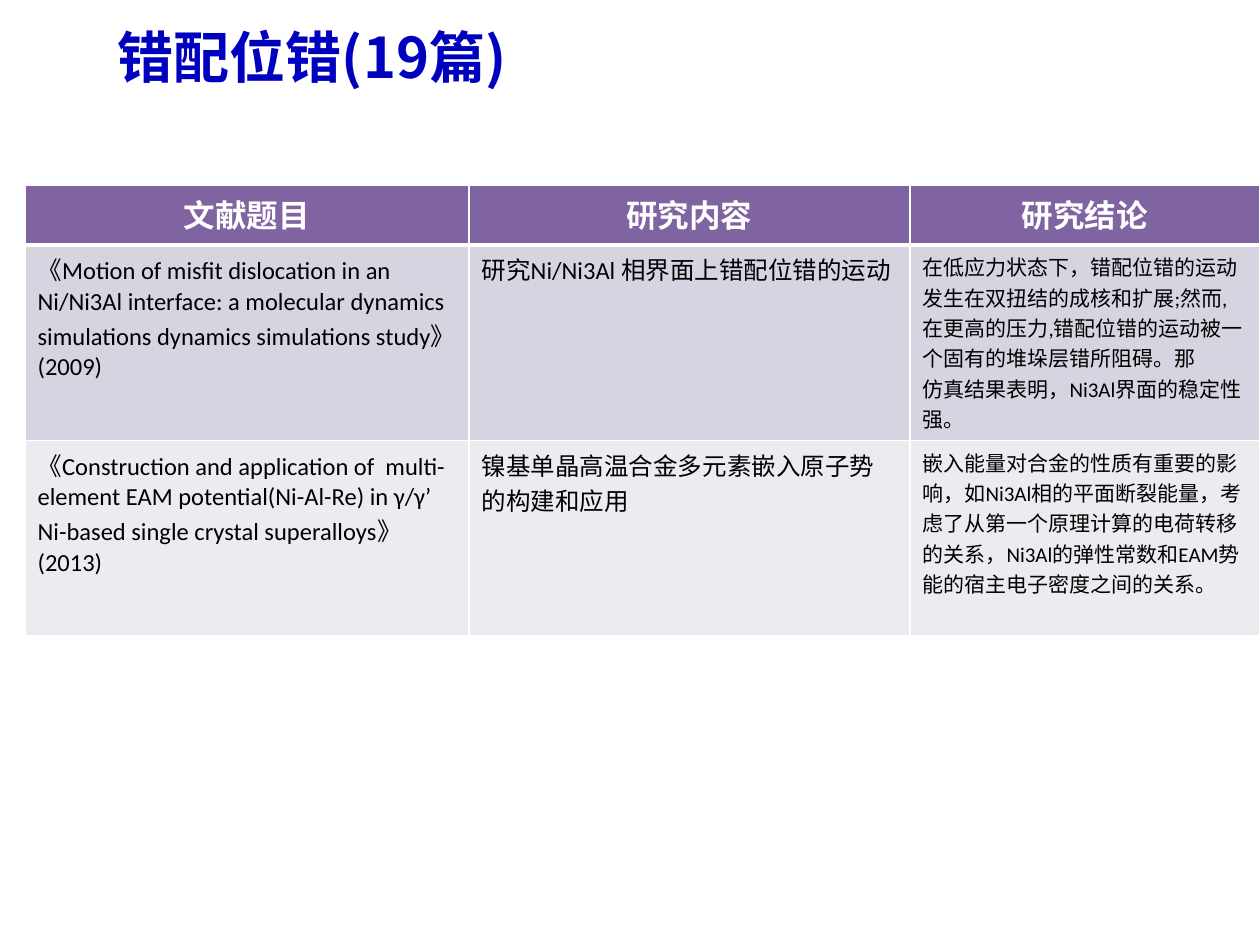
from dataclasses import dataclass

from lxml import etree
from pptx import Presentation
from pptx.dml.color import RGBColor
from pptx.enum.text import MSO_ANCHOR, PP_ALIGN
from pptx.oxml.ns import qn
from pptx.util import Emu, Pt

PX = 914400 // 126
LEFT, CENTER = PP_ALIGN.LEFT, PP_ALIGN.CENTER
MIDDLE = MSO_ANCHOR.MIDDLE
TITLE_ONLY = 5


@dataclass(frozen=True)
class Theme:
    title: str = "0000BF"
    header: str = "8064A2"
    bands: tuple = ("D8D3E0", "EDEAF0")
    white: str = "FFFFFF"
    black: str = "000000"
    latin: str = "Calibri"
    cjk: str = "Noto Sans CJK SC"
    title_size: int = 32
    header_size: int = 18
    column_sizes: tuple = (14, 14, 12)
    rule: int = 1
    header_rule: int = 3


class Deck:
    def __init__(self, theme, width, height):
        self.theme = theme
        self.prs = Presentation()
        self.prs.slide_width, self.prs.slide_height = Emu(width * PX), Emu(height * PX)
        self.s = self.prs.slides.add_slide(self.prs.slide_layouts[TITLE_ONLY])

    def style(self, tf, size, color, font, bold=False, align=LEFT):
        for p in tf.paragraphs:
            p.alignment = align
            for r in p.runs:
                r.font.size, r.font.bold, r.font.name = Pt(size), bold, font
                r.font.color.rgb = RGBColor.from_string(color)
                ea = etree.SubElement(r.font._element, qn("a:ea"))
                ea.set("typeface", self.theme.cjk)

    def title(self, text, x, y, w, h):
        t = self.theme
        sp = self.s.shapes.title
        sp.left, sp.top, sp.width, sp.height = (Emu(v * PX) for v in (x, y, w, h))
        tf = sp.text_frame
        tf.text = text
        tf.vertical_anchor = MIDDLE
        self.style(tf, t.title_size, t.title, t.cjk, True)

    def border(self, cell, side, width):
        ln = etree.SubElement(cell._tc.get_or_add_tcPr(), qn(f"a:ln{side}"), w=str(Pt(width)))
        fill = etree.SubElement(ln, qn("a:solidFill"))
        etree.SubElement(fill, qn("a:srgbClr"), val=self.theme.white)

    def cell(self, cell, text, row, col):
        t = self.theme
        cell.text = text
        widths = {"L": t.rule, "R": t.rule,
                  "T": t.header_rule if row == 1 else t.rule,
                  "B": t.header_rule if row == 0 else t.rule}
        for side, width in widths.items():
            self.border(cell, side, width)
        cell.fill.solid()
        if row == 0:
            fill = t.header
            self.style(cell.text_frame, t.header_size, t.white, t.latin, True, CENTER)
        else:
            fill = t.bands[(row - 1) % len(t.bands)]
            self.style(cell.text_frame, t.column_sizes[col], t.black, t.latin)
        cell.fill.fore_color.rgb = RGBColor.from_string(fill)

    def table(self, data, x, y, widths, heights):
        box = (x, y, sum(widths), sum(heights))
        frame = self.s.shapes.add_table(len(data), len(widths), *(Emu(v * PX) for v in box))
        table = frame.table
        for column, width in zip(table.columns, widths):
            column.width = Emu(width * PX)
        for row, height in zip(table.rows, heights):
            row.height = Emu(height * PX)
        for i, texts in enumerate(data):
            for j, text in enumerate(texts):
                self.cell(table.cell(i, j), text, i, j)


PAPERS = [
    ("文献题目", "研究内容", "研究结论"),
    ("《Motion of misfit dislocation in an Ni/Ni3Al interface: a molecular dynamics "
     "simulations dynamics simulations study》(2009)",
     "研究Ni/Ni3Al 相界面上错配位错的运动",
     "在低应力状态下，错配位错的运动发生在双扭结的成核和扩展;然而,在更高的压力,"
     "错配位错的运动被一个固有的堆垛层错所阻碍。那\n"
     "仿真结果表明，Ni3Al界面的稳定性强。"),
    ("《Construction and application of  multi-element EAM potential(Ni-Al-Re) in γ/γ’ "
     "Ni-based single crystal superalloys》(2013)",
     "镍基单晶高温合金多元素嵌入原子势的构建和应用",
     "嵌入能量对合金的性质有重要的影响，如Ni3Al相的平面断裂能量，"
     "考虑了从第一个原理计算的电荷转移的关系，"
     "Ni3Al的弹性常数和EAM势能的宿主电子密度之间的关系。"),
]


def main():
    deck = Deck(Theme(), 1260, 945)
    deck.title("错配位错(19篇)", 105, 1, 1134, 110)
    deck.table(PAPERS, 25, 185, (444, 441, 350), (60, 122, 152))
    deck.prs.save("out.pptx")


if __name__ == "__main__":
    main()
